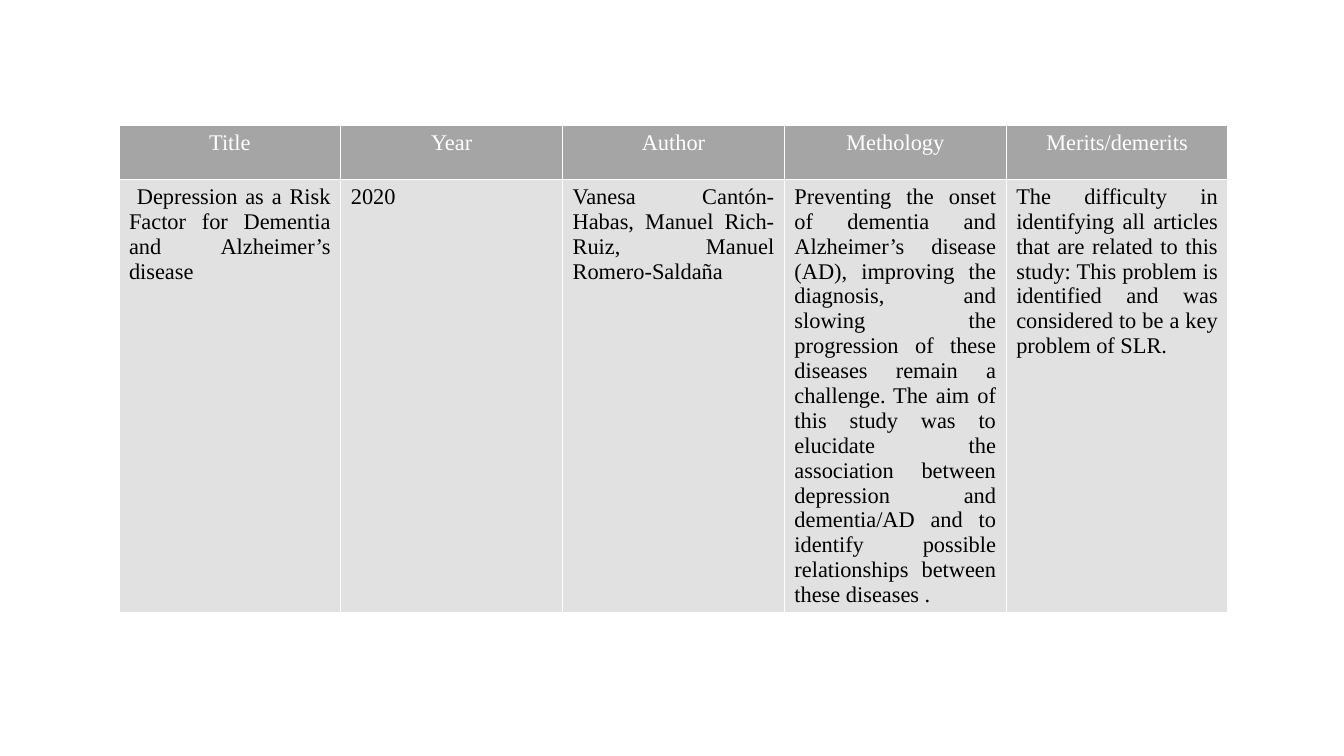
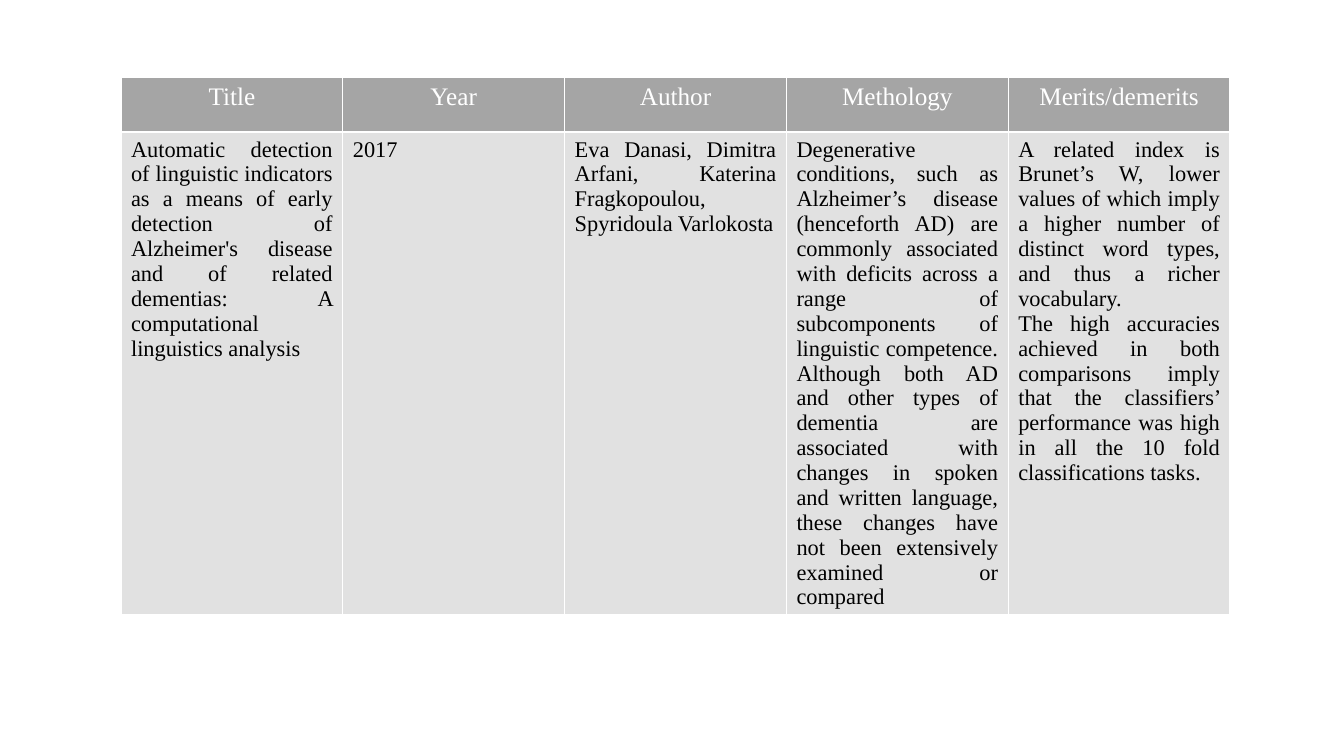
import pptx
import pptx.dml.color
import pptx.enum.text
import pptx.oxml.ns
import pptx.util
from lxml import etree

Inches = pptx.util.Inches
Pt = pptx.util.Pt
ALIGN = pptx.enum.text.PP_ALIGN

FONT = "Times New Roman"
WHITE = "FFFFFF"
BLACK = "000000"
HEADER_FILL = "A5A5A5"
BODY_FILL = "E1E1E1"
BODY_SIZE = 16
BORDER_WIDTH = 1
COLUMN_WIDTH = 2.2
HEADER_HEIGHT = 0.54
HEADINGS = ["Title", "Year", "Author", "Methology", "Merits/demerits"]

DEPRESSION_STUDY = [
    " Depression as a Risk Factor for Dementia and Alzheimer’s disease",
    "2020",
    "Vanesa Cantón-Habas, Manuel Rich-Ruiz, Manuel Romero-Saldaña",
    "Preventing the onset of dementia and Alzheimer’s disease (AD), improving the "
    "diagnosis, and slowing the progression of these diseases remain a challenge. "
    "The aim of this study was to elucidate the association between depression and "
    "dementia/AD and to identify possible relationships between these diseases . ",
    "The difficulty in identifying all articles that are related to this study: This "
    "problem is identified and was considered to be a key problem of SLR.",
]

LINGUISTIC_STUDY = [
    "Automatic detection of linguistic indicators as a means of early detection of "
    "Alzheimer's disease and of related dementias: A computational linguistics analysis",
    "2017",
    "Eva Danasi, Dimitra Arfani, Katerina Fragkopoulou, Spyridoula Varlokosta",
    "Degenerative conditions, such as Alzheimer’s disease (henceforth AD) are commonly "
    "associated with deficits across a range of subcomponents of linguistic competence. "
    "Although both AD and other types of dementia are associated with changes in spoken "
    "and written language, these changes have not been extensively examined or compared",
    "A related index is Brunet’s W, lower values of which imply a higher number of "
    "distinct word types, and thus a richer vocabulary.\n"
    "The high accuracies achieved in both comparisons imply that the classifiers’ "
    "performance was high in all the 10 fold classifications tasks.",
]


def rgb(color):
    return pptx.dml.color.RGBColor.from_string(color)


def add_borders(cell, color):
    properties = cell._tc.get_or_add_tcPr()
    qn = pptx.oxml.ns.qn
    for side in ("a:lnL", "a:lnR", "a:lnT", "a:lnB"):
        line = etree.SubElement(properties, qn(side), w=str(Pt(BORDER_WIDTH)))
        fill = etree.SubElement(line, qn("a:solidFill"))
        etree.SubElement(fill, qn("a:srgbClr"), val=color)


def fill_cell(cell, text, size, color, background, alignment):
    add_borders(cell, WHITE)
    cell.fill.solid()
    cell.fill.fore_color.rgb = rgb(background)
    cell.text_frame.text = text
    for para in cell.text_frame.paragraphs:
        para.alignment = alignment
        for span in para.runs:
            span.font.name = FONT
            span.font.size = Pt(size)
            span.font.bold = False
            span.font.color.rgb = rgb(color)


def add_study_page(deck, study, left, top, body_height, header_size):
    """Add a page with one study under the shared headings."""
    page = deck.slides.add_slide(deck.slide_layouts[6])
    columns = len(HEADINGS)
    table = page.shapes.add_table(
        2, columns, Inches(left), Inches(top),
        Inches(COLUMN_WIDTH * columns), Inches(HEADER_HEIGHT + body_height),
    ).table
    table.rows[0].height = Inches(HEADER_HEIGHT)
    table.rows[1].height = Inches(body_height)
    for column, (heading, text) in enumerate(zip(HEADINGS, study)):
        table.columns[column].width = Inches(COLUMN_WIDTH)
        fill_cell(table.cell(0, column), heading, header_size, WHITE,
                  HEADER_FILL, ALIGN.CENTER)
        fill_cell(table.cell(1, column), text, BODY_SIZE, BLACK,
                  BODY_FILL, ALIGN.JUSTIFY)


def main():
    deck = pptx.Presentation()
    deck.slide_width = Inches(13.33)
    deck.slide_height = Inches(7.5)
    add_study_page(deck, DEPRESSION_STUDY, left=1.18, top=1.24,
                   body_height=4.29, header_size=16)
    add_study_page(deck, LINGUISTIC_STUDY, left=1.2, top=0.77,
                   body_height=4.78, header_size=18)
    deck.save("out.pptx")


if __name__ == "__main__":
    main()
